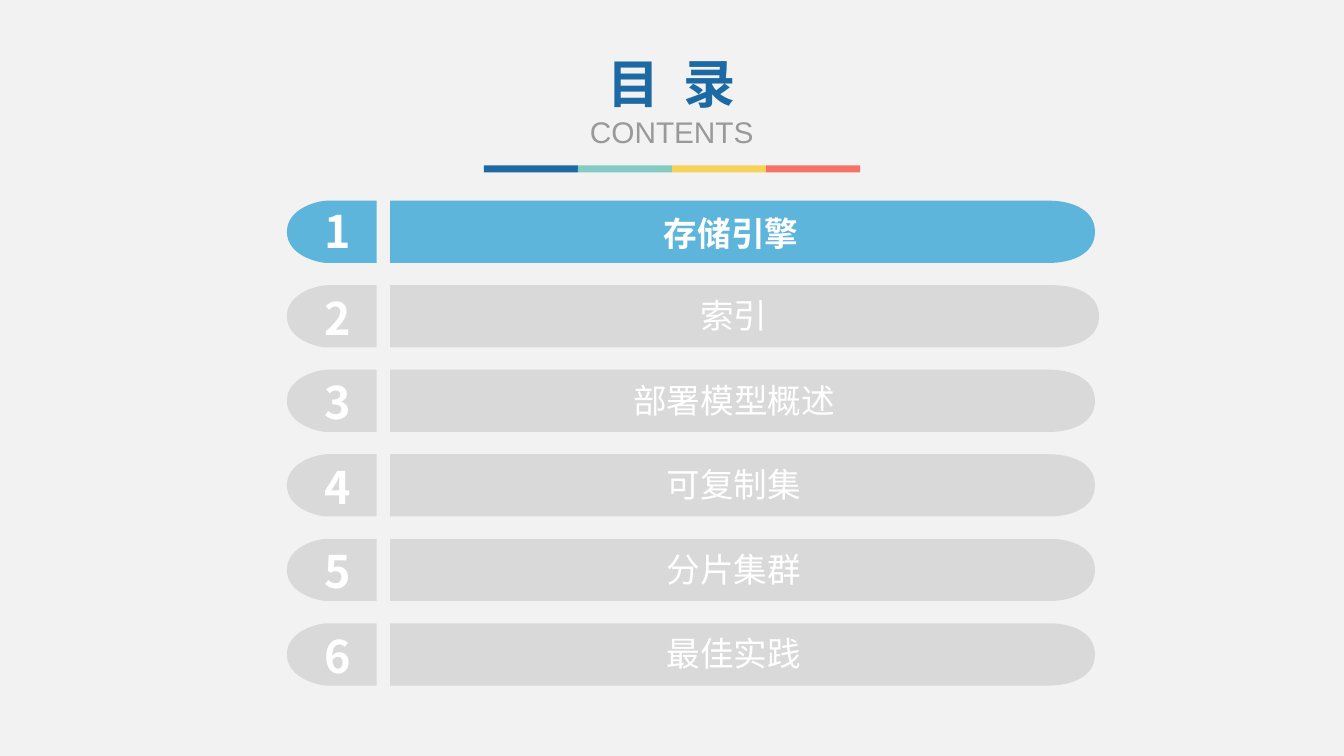
from dataclasses import dataclass

from lxml.etree import SubElement
from pptx import Presentation
from pptx.dml.color import RGBColor
from pptx.enum.shapes import MSO_SHAPE
from pptx.enum.text import MSO_ANCHOR, MSO_AUTO_SIZE, PP_ALIGN
from pptx.oxml.ns import qn
from pptx.util import Inches, Pt

W, H = Inches(13.33), Inches(7.5)
PAPER = RGBColor(0xF2, 0xF2, 0xF2)
WHITE = RGBColor(0xFF, 0xFF, 0xFF)
GRAY = RGBColor(0x99, 0x99, 0x99)
SILVER = RGBColor(0xD9, 0xD9, 0xD9)
SKY = RGBColor(0x5D, 0xB5, 0xDB)
BLUE = RGBColor(0x1D, 0x69, 0xA3)
TEAL = RGBColor(0x84, 0xCB, 0xC3)
YELLOW = RGBColor(0xF8, 0xD1, 0x58)
CORAL = RGBColor(0xF5, 0x73, 0x65)
CJK = "Noto Sans CJK SC"

ROW_TOP, ROW_STEP, ROW_HEIGHT = 26.55, 11.18, 8.23
REACH = 0.77


@dataclass
class Item:
    label: str
    active: bool = False
    tip: float = 81.47
    label_left: float = 29.33
    label_width: float = 50.56
    label_drop: float = 0.67
    number_drop: float = 0


@dataclass
class Outline:
    inner: float
    shoulder: float
    tip: float
    bend: float


ITEMS = [
    Item("存储引擎", active=True, label_left=29.45, label_width=49.9,
         label_drop=0.9, number_drop=-0.3),
    Item("索引", tip=81.77),
    Item("部署模型概述"),
    Item("可复制集"),
    Item("分片集群"),
    Item("最佳实践"),
]


def col(share: float) -> int:
    return round(W * share / 100)


def row(share: float) -> int:
    return round(H * share / 100)


def write(p, text: str, *, size: float, font: str, color: RGBColor,
          bold: bool = False, spacing: float = 0) -> None:
    p.alignment = PP_ALIGN.CENTER
    r = p.add_run()
    r.text = text
    r.font.size = Pt(size)
    r.font.name = font
    r.font.bold = bold
    r.font.color.rgb = color
    rPr = r._r.get_or_add_rPr()
    SubElement(rPr, qn("a:ea")).set("typeface", font)
    if spacing:
        rPr.set("spc", str(round(spacing * 100)))


def paint(sp, color: RGBColor) -> None:
    sp.shadow.inherit = False
    sp.fill.solid()
    sp.fill.fore_color.rgb = color
    sp.line.fill.background()


def round_tip(sp, bend: float) -> None:
    lines = list(sp._element.iter(qn("a:lnTo")))[1:4]
    bottom, tip, top = [(int(ln[0].get("x")), int(ln[0].get("y"))) for ln in lines]

    def controls(shoulder: tuple[int, int]) -> list[tuple[float, float]]:
        (x, y), (tip_x, tip_y) = shoulder, tip
        return [(x + bend * (tip_x - x), y), (tip_x, tip_y + REACH * (y - tip_y))]

    for ln, points in ((lines[1], controls(bottom)), (lines[2], controls(top)[::-1])):
        ln.tag = qn("a:cubicBezTo")
        for i, (x, y) in enumerate(points):
            pt = SubElement(ln, qn("a:pt"))
            pt.set("x", str(round(x)))
            pt.set("y", str(round(y)))
            ln.insert(i, pt)


def add_rounded(shapes, o: Outline, top: float, color: RGBColor) -> None:
    bottom, mid = top + ROW_HEIGHT, top + ROW_HEIGHT / 2
    corners = [(o.inner, bottom), (o.shoulder, bottom), (o.tip, mid), (o.shoulder, top)]
    builder = shapes.build_freeform(col(o.inner), row(top))
    builder.add_line_segments([(col(x), row(y)) for x, y in corners], close=True)
    sp = builder.convert_to_shape()
    round_tip(sp, o.bend)
    paint(sp, color)


def add_label(shapes, text: str, left: float, top: float, width: float,
              height: float, *, size: float, bold: bool, wrap: bool) -> None:
    sp = shapes.add_textbox(col(left), row(top), col(width), row(height))
    tf = sp.text_frame
    tf.word_wrap = wrap
    write(tf.paragraphs[0], text, size=size, font=CJK, color=WHITE, bold=bold)


def add_heading(s) -> None:
    sp = s.shapes.title
    sp.left, sp.top, sp.width, sp.height = col(41.88), row(6.13), col(16.2), row(14.53)
    tf = sp.text_frame
    tf.auto_size = MSO_AUTO_SIZE.NONE
    tf.word_wrap = True
    tf.vertical_anchor = MSO_ANCHOR.TOP
    write(tf.paragraphs[0], "目 录", size=37.3, font="Roboto Condensed",
          color=BLUE, bold=True, spacing=4.5)
    write(tf.add_paragraph(), "CONTENTS", size=21.3, font="Arial", color=GRAY)


def add_stripe(s) -> None:
    shapes = s.shapes.add_group_shape().shapes
    for i, color in enumerate((BLUE, TEAL, YELLOW, CORAL)):
        sp = shapes.add_shape(MSO_SHAPE.RECTANGLE, col(36 + 7 * i), row(21.87),
                              col(7), row(0.93))
        paint(sp, color)


def add_item(s, i: int, item: Item) -> None:
    shapes = s.shapes.add_group_shape().shapes
    top = ROW_TOP + i * ROW_STEP
    color = SKY if item.active else SILVER
    add_rounded(shapes, Outline(28.03, 24.31, 21.35, 0.2), top, color)
    add_rounded(shapes, Outline(29.03, item.tip - 3.38, item.tip, 0.42), top, color)
    add_label(shapes, str(i + 1), 23.36, top + item.number_drop, 3.6, 8.53,
              size=32, bold=True, wrap=False)
    add_label(shapes, item.label, item.label_left, top + item.label_drop,
              item.label_width, 6.67, size=24, bold=item.active, wrap=True)


def main() -> None:
    prs = Presentation()
    prs.slide_width, prs.slide_height = W, H
    s = prs.slides.add_slide(prs.slide_layouts[5])
    s.background.fill.solid()
    s.background.fill.fore_color.rgb = PAPER
    add_heading(s)
    add_stripe(s)
    for i, item in enumerate(ITEMS):
        add_item(s, i, item)
    prs.save("out.pptx")


if __name__ == "__main__":
    main()
